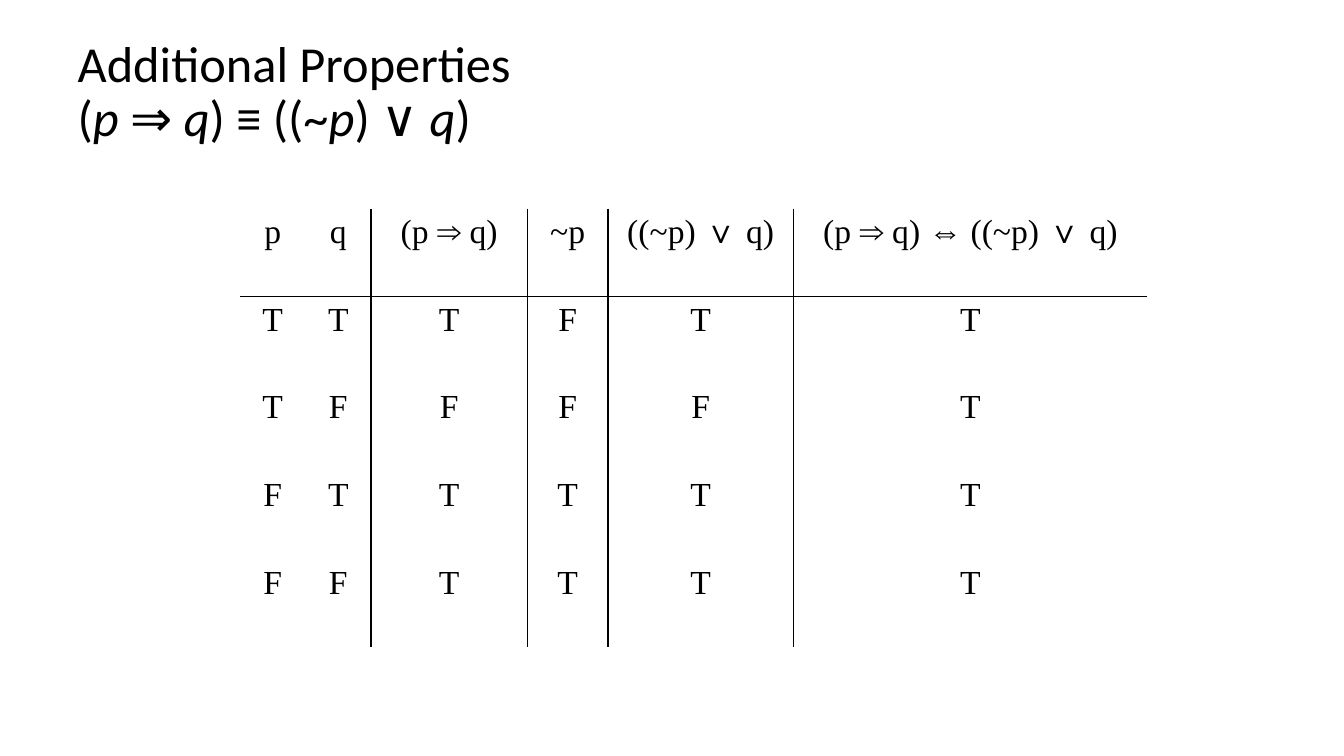
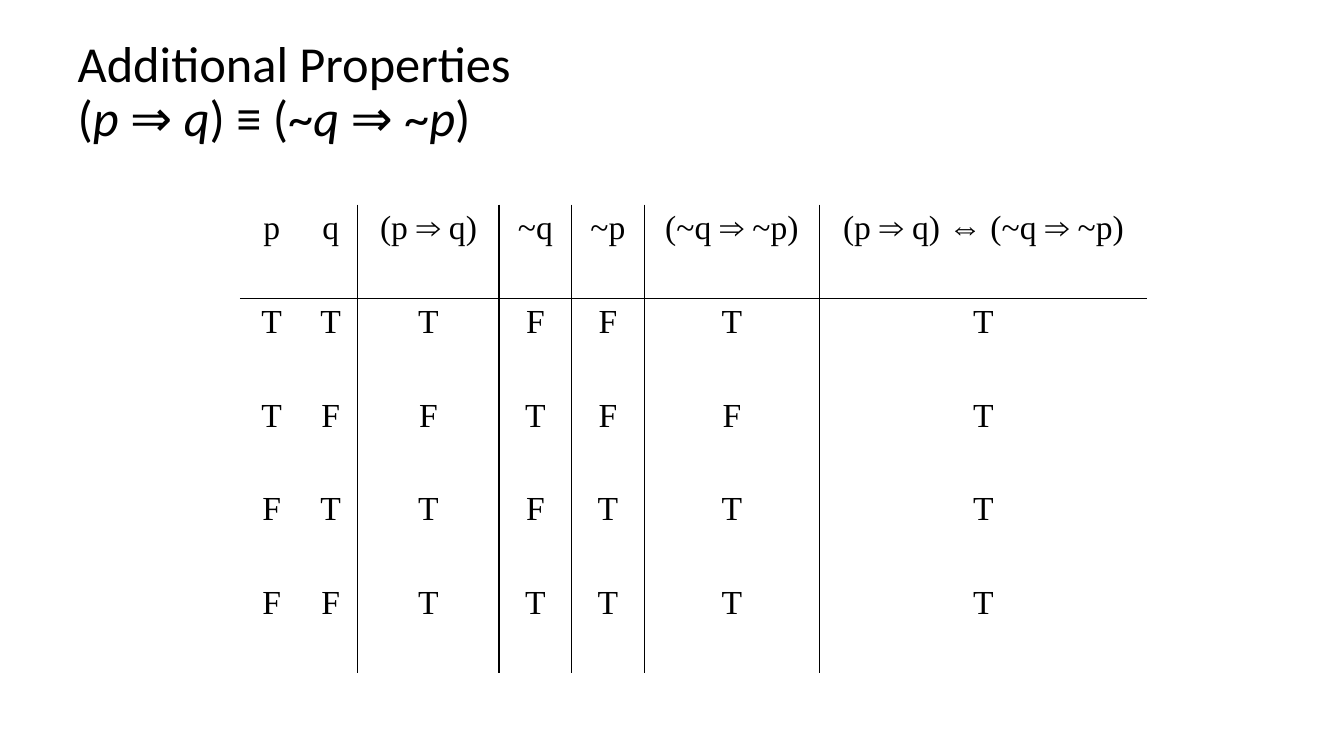
"""Build two slides that prove logical equivalences with truth tables."""
from itertools import groupby

from lxml import etree
from pptx import Presentation
from pptx.dml.color import RGBColor
from pptx.enum.text import MSO_ANCHOR, MSO_AUTO_SIZE, PP_ALIGN
from pptx.oxml.ns import qn
from pptx.util import Inches, Pt

LEFT, CENTER = PP_ALIGN.LEFT, PP_ALIGN.CENTER
MIDDLE = MSO_ANCHOR.MIDDLE
NO_AUTOFIT = MSO_AUTO_SIZE.NONE

BLACK = RGBColor(0x00, 0x00, 0x00)
TITLE_FONT, TABLE_FONT = "Calibri", "Times New Roman"
NO_STYLE_NO_GRID = "{2D5ABB26-0587-4C30-8999-92F81FD0307C}"
TITLE_ONLY = 5
VARIABLES = "pq"
HEADING = "Additional Properties"
TABLE_LEFT = 2.38
HANGING_INDENT = Inches(0.38)

PROOFS = [
    {
        "formula": "(p ⇒ q) ≡ ((~p) ∨ q)",
        "top": 2.07,
        "row_height": 0.87,
        "columns": [
            ("p", 0.65, "TTFF"),
            ("q", 0.65, "TFTF"),
            ("(p ⇒ q)", 1.55, "TFTT"),
            ("~p", 0.8, "FFTT"),
            ("((~p) ∨ q)", 1.84, "TFTT"),
            ("(p ⇒ q) ⇔ ((~p) ∨ q)", 3.51, "TTTT"),
        ],
    },
    {
        "formula": "(p ⇒ q) ≡ (~q ⇒ ~p)",
        "top": 2.03,
        "row_height": 0.93,
        "columns": [
            ("p", 0.63, "TTFF"),
            ("q", 0.54, "TFTF"),
            ("(p ⇒ q)", 1.4, "TFTT"),
            ("~q", 0.72, "FTFT"),
            ("~p", 0.72, "FFTT"),
            ("(~q ⇒ ~p)", 1.74, "TFTT"),
            ("(p ⇒ q) ⇔ (~q ⇒ ~p)", 3.25, "TTTT"),
        ],
    },
]


def set_font(paragraph, name, size):
    """Give a paragraph its black font."""
    paragraph.font.name = name
    paragraph.font.size = Pt(size)
    paragraph.font.color.rgb = BLACK


def add_title(slide, formula):
    """Fill the title with the heading and a formula with italic variables."""
    title = slide.shapes.title
    title.left, title.top = Inches(0.67), Inches(0.3)
    title.width, title.height = Inches(12), Inches(1.25)
    frame = title.text_frame
    frame.auto_size = NO_AUTOFIT
    frame.vertical_anchor = MIDDLE
    paragraph = frame.paragraphs[0]
    paragraph.alignment = LEFT
    paragraph.line_spacing = 0.9
    set_font(paragraph, TITLE_FONT, 36)
    paragraph.add_run().text = HEADING
    paragraph.add_line_break()
    for is_variable, letters in groupby(formula, lambda letter: letter in VARIABLES):
        run = paragraph.add_run()
        run.text = "".join(letters)
        if is_variable:
            run.font.italic = True


def set_borders(cell, visible_sides):
    """Draw thin black borders on the given sides and none on the others."""
    properties = cell._tc.get_or_add_tcPr()
    for side in "LRTB":
        line = etree.SubElement(properties, qn(f"a:ln{side}"), w=str(Pt(1)))
        if side in visible_sides:
            fill = etree.SubElement(line, qn("a:solidFill"))
            etree.SubElement(fill, qn("a:srgbClr"), val=str(BLACK))
        else:
            etree.SubElement(line, qn("a:noFill"))


def format_cell(cell, text, visible_sides):
    """Write one centred table entry."""
    set_borders(cell, visible_sides)
    cell.fill.background()
    cell.text = text
    paragraph = cell.text_frame.paragraphs[0]
    paragraph.alignment = CENTER
    properties = paragraph._p.get_or_add_pPr()
    properties.set("marL", str(HANGING_INDENT))
    properties.set("indent", str(-HANGING_INDENT))
    set_font(paragraph, TABLE_FONT, 24)


def add_truth_table(slide, top, row_height, columns):
    """Add a truth table ruled below its header and between its formulas."""
    row_count = 1 + len(columns[0][2])
    total_width = sum(width for _, width, _ in columns)
    table = slide.shapes.add_table(
        row_count, len(columns), Inches(TABLE_LEFT), Inches(top),
        Inches(total_width), Inches(row_height * row_count),
    ).table
    table.first_row = table.horz_banding = False
    table._tbl.tblPr.find(qn("a:tableStyleId")).text = NO_STYLE_NO_GRID
    for row in table.rows:
        row.height = Inches(row_height)
    last_column = len(columns) - 1
    for column_index, (header, width, values) in enumerate(columns):
        table.columns[column_index].width = Inches(width)
        vertical_sides = "L" if column_index > 1 else ""
        if 1 <= column_index < last_column:
            vertical_sides += "R"
        for row_index, text in enumerate([header, *values]):
            horizontal_side = {0: "B", 1: "T"}.get(row_index, "")
            format_cell(table.cell(row_index, column_index), text,
                        vertical_sides + horizontal_side)


def main():
    """Build and save the presentation."""
    presentation = Presentation()
    presentation.slide_width = Inches(13.33)
    presentation.slide_height = Inches(7.5)
    for proof in PROOFS:
        slide = presentation.slides.add_slide(presentation.slide_layouts[TITLE_ONLY])
        add_title(slide, proof["formula"])
        add_truth_table(slide, proof["top"], proof["row_height"], proof["columns"])
    presentation.save("out.pptx")


if __name__ == "__main__":
    main()
